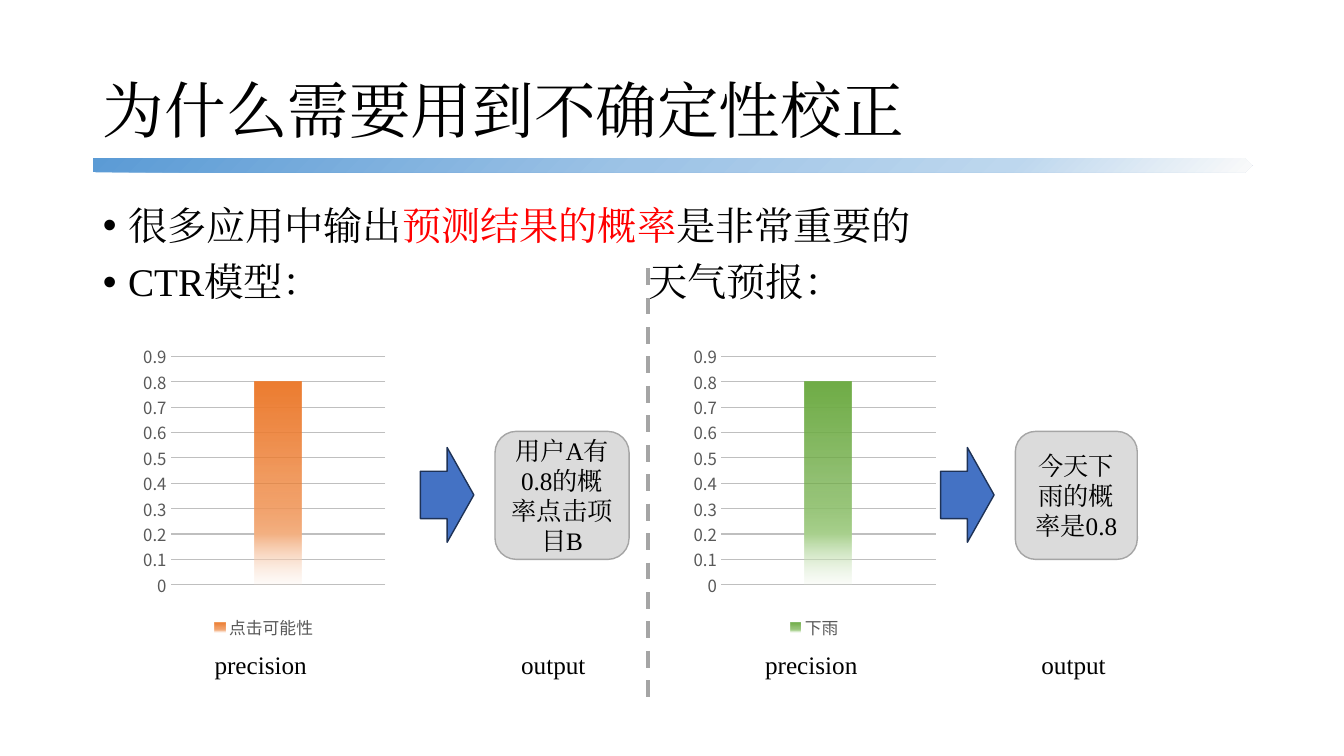
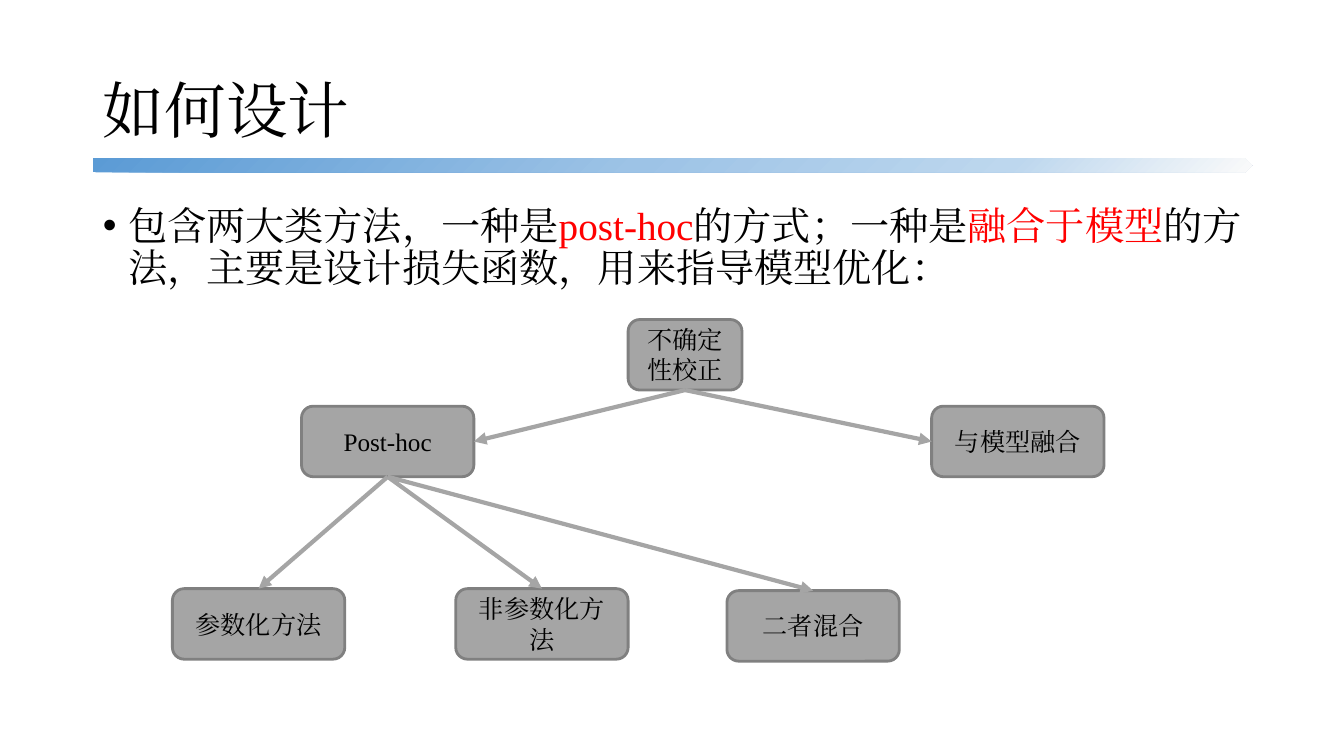
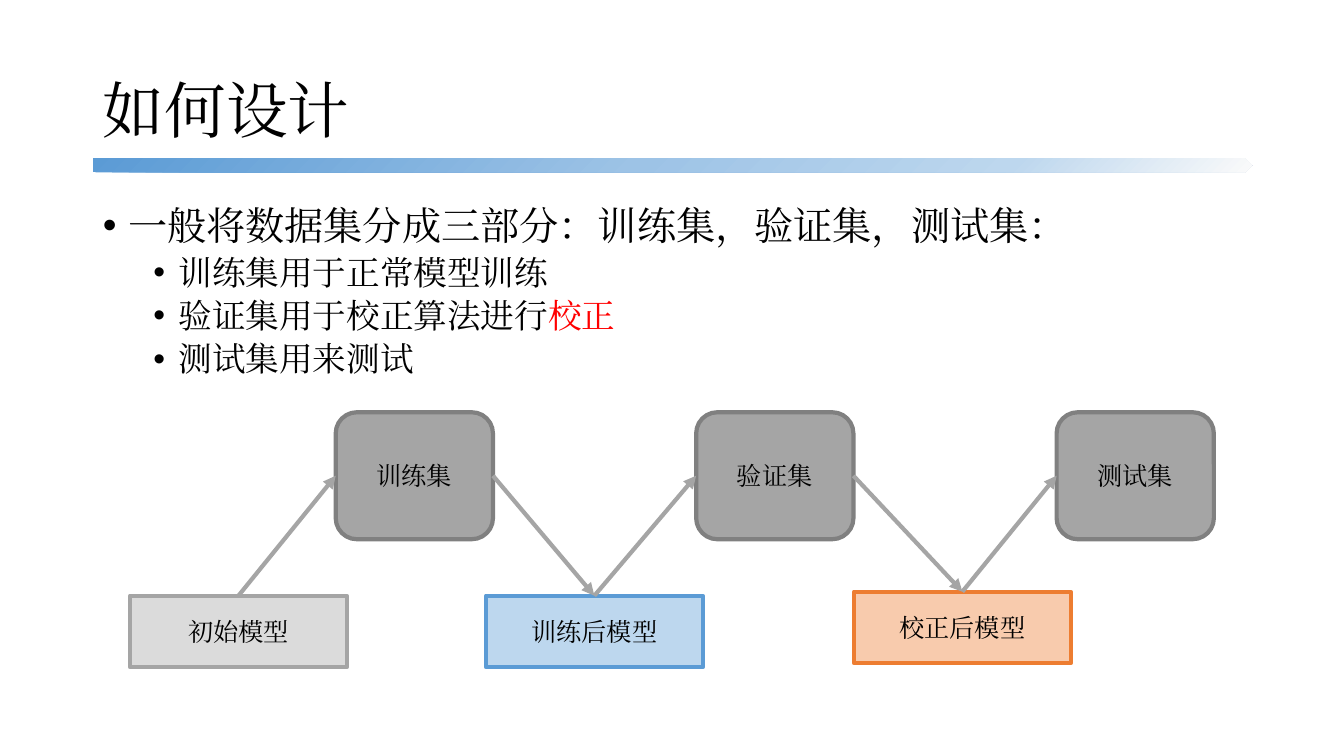
from lxml import etree
from pptx import Presentation
from pptx import util as u
from pptx.chart.data import CategoryChartData
from pptx.dml.color import RGBColor
from pptx.enum import chart as charts, dml, lang, shapes, text
from pptx.oxml import parse_xml
from pptx.oxml.ns import nsdecls, qn

LATIN_FONT = "Times New Roman"
CHART_FONT = "Noto Sans CJK SC"
BLACK = RGBColor(0x00, 0x00, 0x00)
RED = RGBColor(0xFF, 0x00, 0x00)
GRAY = RGBColor(0xA5, 0xA5, 0xA5)
DARK_GRAY = RGBColor(0x80, 0x80, 0x80)
LIGHT_GRAY = RGBColor(0xDB, 0xDB, 0xDB)
LABEL_GRAY = RGBColor(0x59, 0x59, 0x59)
GRID_GRAY = RGBColor(0xBF, 0xBF, 0xBF)
ARROW_BLUE = RGBColor(0x44, 0x72, 0xC4)
ARROW_EDGE = RGBColor(0x1E, 0x32, 0x56)
BLUE = RGBColor(0x5B, 0x9B, 0xD5)
MID_BLUE = RGBColor(0x9D, 0xC3, 0xE6)
PALE_BLUE = RGBColor(0xBD, 0xD7, 0xEE)
OFF_WHITE = RGBColor(0xFA, 0xFA, 0xFA)
ORANGE = RGBColor(0xED, 0x7D, 0x31)
SOFT_ORANGE = RGBColor(0xF4, 0xB1, 0x83)
PEACH = RGBColor(0xF8, 0xCB, 0xAD)
PALE_ORANGE = RGBColor(0xFB, 0xE5, 0xD6)
GREEN = RGBColor(0x70, 0xAD, 0x47)
SOFT_GREEN = RGBColor(0xA9, 0xD1, 0x8E)
PALE_GREEN = RGBColor(0xE2, 0xF0, 0xD9)

TITLE_BOX = (0.92, 0.4, 11.5, 1.45)
BODY_BOX = (0.92, 2, 11.5, 4.76)
BAND_BOX = (0.92, 1.57, 11.5, 0.14)
BAND_STOPS = [(0, OFF_WHITE, 100), (21, PALE_BLUE, 100), (53, MID_BLUE, 100), (100, BLUE, 100)]
TO_CORNER = '<a:path path="circle"><a:fillToRect l="100000" t="100000"/></a:path>'
DOWNWARD = '<a:lin ang="5400000" scaled="0"/>'
TOP, LEFT, BOTTOM, RIGHT = range(4)


def inches(box):
    """Turn a box of numbers into lengths."""
    return [u.Inches(value) for value in box]


def add_run(paragraph, words, size, color=BLACK):
    """Add one run in the deck's font."""
    run = paragraph.add_run()
    run.text = words
    run.font.size = u.Pt(size)
    run.font.name = LATIN_FONT
    run.font.color.rgb = color
    run.font.language_id = lang.MSO_LANGUAGE_ID.SIMPLIFIED_CHINESE
    etree.SubElement(run.font._element, qn("a:ea"), typeface=LATIN_FONT)


def fill_gradient(fill, properties, stops, direction):
    """Give a shape or series a gradient of (position, colour, opacity) stops."""
    fill.background()
    stop_xml = "".join(
        f'<a:gs pos="{position * 1000}"><a:srgbClr val="{color}">'
        f'<a:alpha val="{opacity * 1000}"/></a:srgbClr></a:gs>'
        for position, color, opacity in stops)
    gradient = parse_xml(
        f'<a:gradFill {nsdecls("a")} rotWithShape="1"><a:gsLst>{stop_xml}</a:gsLst>{direction}</a:gradFill>')
    properties.replace(properties.find(qn("a:noFill")), gradient)


def add_box(slide, kind, box, fill, edge, edge_width, words=""):
    """Add a filled preset shape with centred text."""
    shape = slide.shapes.add_shape(kind, *inches(box))
    shape.shadow.inherit = False
    shape.fill.solid()
    shape.fill.fore_color.rgb = fill
    shape.line.color.rgb = edge
    shape.line.width = u.Pt(edge_width)
    frame = shape.text_frame
    frame.word_wrap = True
    frame.vertical_anchor = text.MSO_ANCHOR.MIDDLE
    if words:
        frame.paragraphs[0].alignment = text.PP_ALIGN.CENTER
        add_run(frame.paragraphs[0], words, 18)
    return shape


def add_line(slide, start=(0, 0), end=(0, 0)):
    """Add a plain gray line without a shadow."""
    line = slide.shapes.add_connector(shapes.MSO_CONNECTOR.STRAIGHT, *inches(start + end))
    line.line.color.rgb = GRAY
    line.line.width = u.Pt(3)
    etree.SubElement(line._element.spPr, qn("a:effectLst"))
    return line


def join(slide, source, source_side, target, target_side):
    """Draw an arrow between the sides of two boxes."""
    arrow = add_line(slide)
    arrow.begin_connect(source, source_side)
    arrow.end_connect(target, target_side)
    etree.SubElement(arrow.line._get_or_add_ln(), qn("a:tailEnd"), type="triangle")


def format_bullet(paragraph, level, tab=None):
    """Set bullet, indent, spacing and an optional tab stop."""
    paragraph.level = level
    paragraph.line_spacing = 0.9
    paragraph.space_before = u.Pt(5 if level else 10)
    properties = paragraph._p.get_or_add_pPr()
    properties.set("marL", str(u.Inches(0.25 + 0.5 * level)))
    properties.set("indent", str(u.Inches(-0.25)))
    etree.SubElement(properties, qn("a:buFont"), typeface="Arial")
    etree.SubElement(properties, qn("a:buChar"), char="•")
    if tab:
        tabs = etree.SubElement(properties, qn("a:tabLst"))
        etree.SubElement(tabs, qn("a:tab"), pos=str(u.Inches(tab)), algn="l")


def place(placeholder, box):
    """Move a placeholder and return its text frame."""
    placeholder.left, placeholder.top, placeholder.width, placeholder.height = inches(box)
    placeholder.text_frame.auto_size = text.MSO_AUTO_SIZE.NONE
    return placeholder.text_frame


def add_content_slide(presentation, title, bullets, tab=None):
    """Add a slide with title, band and (level, runs) bullets."""
    slide = presentation.slides.add_slide(presentation.slide_layouts[1])
    frame = place(slide.shapes.title, TITLE_BOX)
    frame.vertical_anchor = text.MSO_ANCHOR.MIDDLE
    heading = frame.paragraphs[0]
    heading.alignment = text.PP_ALIGN.LEFT
    heading.line_spacing = 0.9
    add_run(heading, title, 44)

    body = place(slide.placeholders[1], BODY_BOX)
    for index, (level, runs) in enumerate(bullets):
        paragraph = body.add_paragraph() if index else body.paragraphs[0]
        format_bullet(paragraph, level, tab)
        for words, color in runs:
            add_run(paragraph, words, 24 if level else 28, color)

    band = add_box(slide, shapes.MSO_SHAPE.PENTAGON, BAND_BOX, BLUE, BLUE, 1)
    band.line.fill.background()
    fill_gradient(band.fill, band._element.spPr, BAND_STOPS, TO_CORNER)
    return slide


def add_probability_chart(slide, box, name, colors):
    """Add a one-column chart whose bar fades towards the bottom."""
    data = CategoryChartData()
    data.categories = ["1"]
    data.add_series(name, [0.8])
    chart = slide.shapes.add_chart(
        charts.XL_CHART_TYPE.COLUMN_CLUSTERED, *inches(box), data).chart
    chart.has_title = False
    chart.font.name = CHART_FONT
    chart.font.size = u.Pt(12)
    chart.font.color.rgb = LABEL_GRAY
    chart.has_legend = True
    chart.legend.position = charts.XL_LEGEND_POSITION.BOTTOM
    chart.legend.include_in_layout = False
    chart.category_axis.visible = False
    axis = chart.value_axis
    axis.minimum_scale, axis.maximum_scale, axis.major_unit = 0, 0.9, 0.1
    axis.major_tick_mark = charts.XL_TICK_MARK.NONE
    axis.format.line.fill.background()
    axis.major_gridlines.format.line.color.rgb = GRID_GRAY
    axis.major_gridlines.format.line.width = u.Pt(0.75)
    plot = chart.plots[0]
    plot.vary_by_categories = False
    plot.gap_width, plot.overlap = 355, -70
    series = plot.series[0]
    full, soft, pale = colors
    stops = [(0, full, 100), (51, full, 75), (75, soft, 100), (100, pale, 15)]
    fill_gradient(series.format.fill, series._element.get_or_add_spPr(), stops, DOWNWARD)


def add_label(slide, box, words):
    """Add a caption that does not wrap."""
    frame = slide.shapes.add_textbox(*inches(box)).text_frame
    frame.word_wrap = False
    frame.auto_size = text.MSO_AUTO_SIZE.SHAPE_TO_FIT_TEXT
    add_run(frame.paragraphs[0], words, 18)


def add_example(slide, left, top, name, colors, arrow_offset, answer, answer_width):
    """Add one example: chart, arrow, answer box and captions."""
    arrow_left = left + arrow_offset
    add_probability_chart(slide, (left, top, 2.5, 3.04), name, colors)
    add_box(slide, shapes.MSO_SHAPE.RIGHT_ARROW, (arrow_left, top + 1.09, 0.53, 0.94),
            ARROW_BLUE, ARROW_EDGE, 1)
    add_box(slide, shapes.MSO_SHAPE.ROUNDED_RECTANGLE,
            (arrow_left + 0.74, top + 0.93, answer_width, 1.27), LIGHT_GRAY, GRAY, 1, answer)
    add_label(slide, (left + 0.66, top + 3.04, 1.13, 0.4), "precision")
    add_label(slide, (arrow_left + 0.9, top + 3.04, 0.85, 0.4), "output")


def build_reason_slide(presentation):
    """Build the slide with two probability examples."""
    slide = add_content_slide(presentation, "为什么需要用到不确定性校正", [
        (0, [("很多应用中输出", BLACK), ("预测结果的概率", RED), ("是非常重要的", BLACK)]),
        (0, [("CTR模型：\t天气预报：", BLACK)]),
    ], tab=5.41)
    add_example(slide, 1.37, 3.35, "点击可能性", (ORANGE, SOFT_ORANGE, PALE_ORANGE),
                2.8, "用户A有0.8的概率点击项目B", 1.33)
    add_example(slide, 6.83, 3.35, "下雨", (GREEN, SOFT_GREEN, PALE_GREEN),
                2.5, "今天下雨的概率是0.8", 1.21)
    divider = add_line(slide, (6.43, 2.66), (6.43, 6.95))
    divider.line.dash_style = dml.MSO_LINE.DASH


def add_method_tree(slide, left, top):
    """Add the tree of calibration methods."""
    def node(x, y, words, width=1.71):
        """Add one node of the tree."""
        return add_box(slide, shapes.MSO_SHAPE.ROUNDED_RECTANGLE,
                       (left + x, top + y, width, 0.7), GRAY, DARK_GRAY, 2, words)

    root = node(4.52, 0, "不确定性校正", 1.13)
    post_hoc = node(1.28, 0.86, "Post-hoc")
    fused = node(7.53, 0.86, "与模型融合")
    leaves = [node(0, 2.67, "参数化方法"), node(2.81, 2.67, "非参数化方法"),
              node(5.5, 2.69, "二者混合")]
    join(slide, root, BOTTOM, post_hoc, RIGHT)
    join(slide, root, BOTTOM, fused, LEFT)
    for leaf in leaves:
        join(slide, post_hoc, BOTTOM, leaf, TOP)


def build_methods_slide(presentation):
    """Build the slide with the two families of methods."""
    slide = add_content_slide(presentation, "如何设计", [
        (0, [("包含两大类方法，一种是", BLACK), ("post-hoc", RED), ("的方式；一种是", BLACK),
             ("融合于模型", RED), ("的方法，主要是设计损失函数，用来指导模型优化：", BLACK)]),
    ])
    add_method_tree(slide, 1.71, 3.17)


def add_data_flow(slide, left, top):
    """Add the zigzag from models up to data sets and back."""
    data_sets = [
        add_box(slide, shapes.MSO_SHAPE.ROUNDED_RECTANGLE,
                (left + 2.04 + 3.575 * index, top, 1.56, 1.26), GRAY, DARK_GRAY, 3, words)
        for index, words in enumerate(["训练集", "验证集", "测试集"])]
    models = [
        add_box(slide, shapes.MSO_SHAPE.RECTANGLE,
                (left + x, top + y, 2.15, 0.71), fill, edge, 3, words)
        for x, y, fill, edge, words in [
            (0, 1.82, LIGHT_GRAY, GRAY, "初始模型"),
            (3.53, 1.82, PALE_BLUE, BLUE, "训练后模型"),
            (7.18, 1.78, PEACH, ORANGE, "校正后模型")]]
    for model, data_set in zip(models, data_sets):
        join(slide, model, TOP, data_set, LEFT)
    for data_set, model in zip(data_sets, models[1:]):
        join(slide, data_set, RIGHT, model, TOP)


def build_data_slide(presentation):
    """Build the slide on splitting the data."""
    slide = add_content_slide(presentation, "如何设计", [
        (0, [("一般将数据集分成三部分：训练集，验证集，测试集：", BLACK)]),
        (1, [("训练集用于正常模型训练", BLACK)]),
        (1, [("验证集用于校正算法进行", BLACK), ("校正", RED)]),
        (1, [("测试集用来测试", BLACK)]),
    ])
    add_data_flow(slide, 1.29, 4.09)


def main():
    """Build and save the presentation."""
    presentation = Presentation()
    presentation.slide_width = u.Inches(13.33)
    presentation.slide_height = u.Inches(7.5)
    build_reason_slide(presentation)
    build_methods_slide(presentation)
    build_data_slide(presentation)
    presentation.save("out.pptx")


if __name__ == "__main__":
    main()
